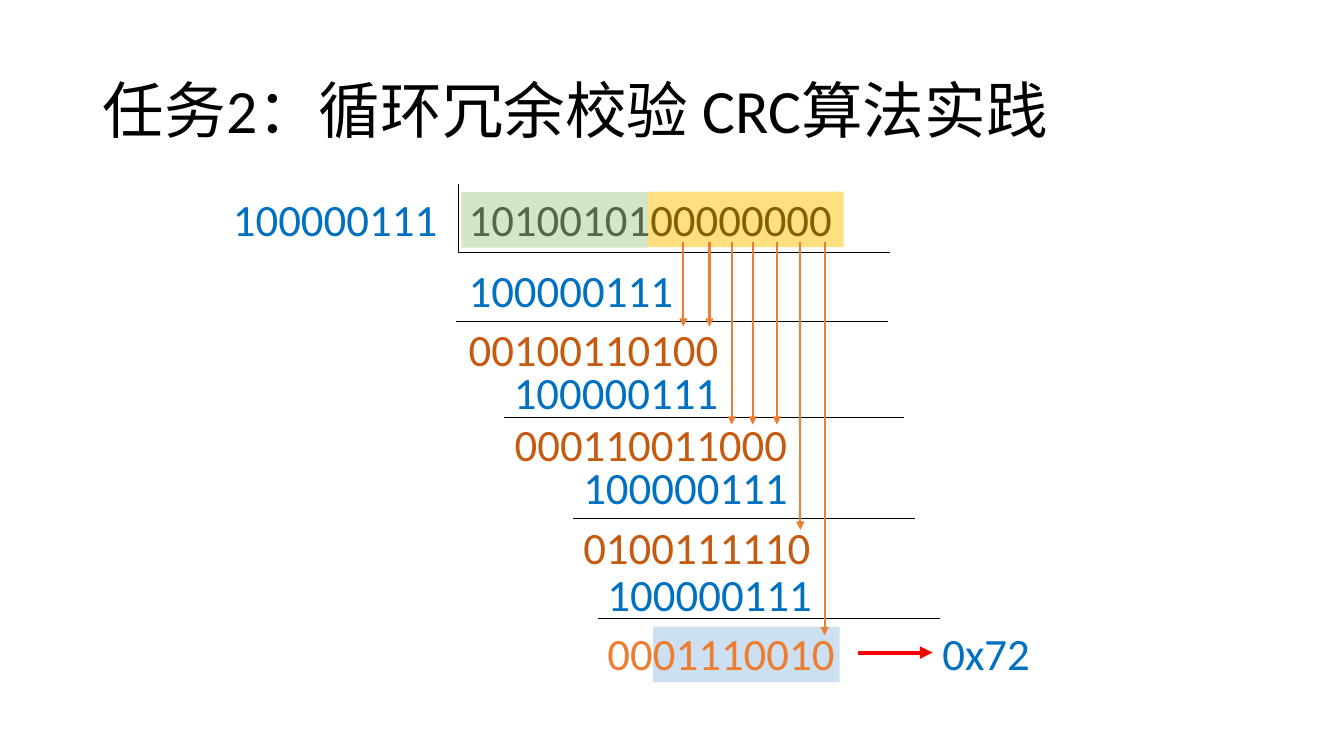
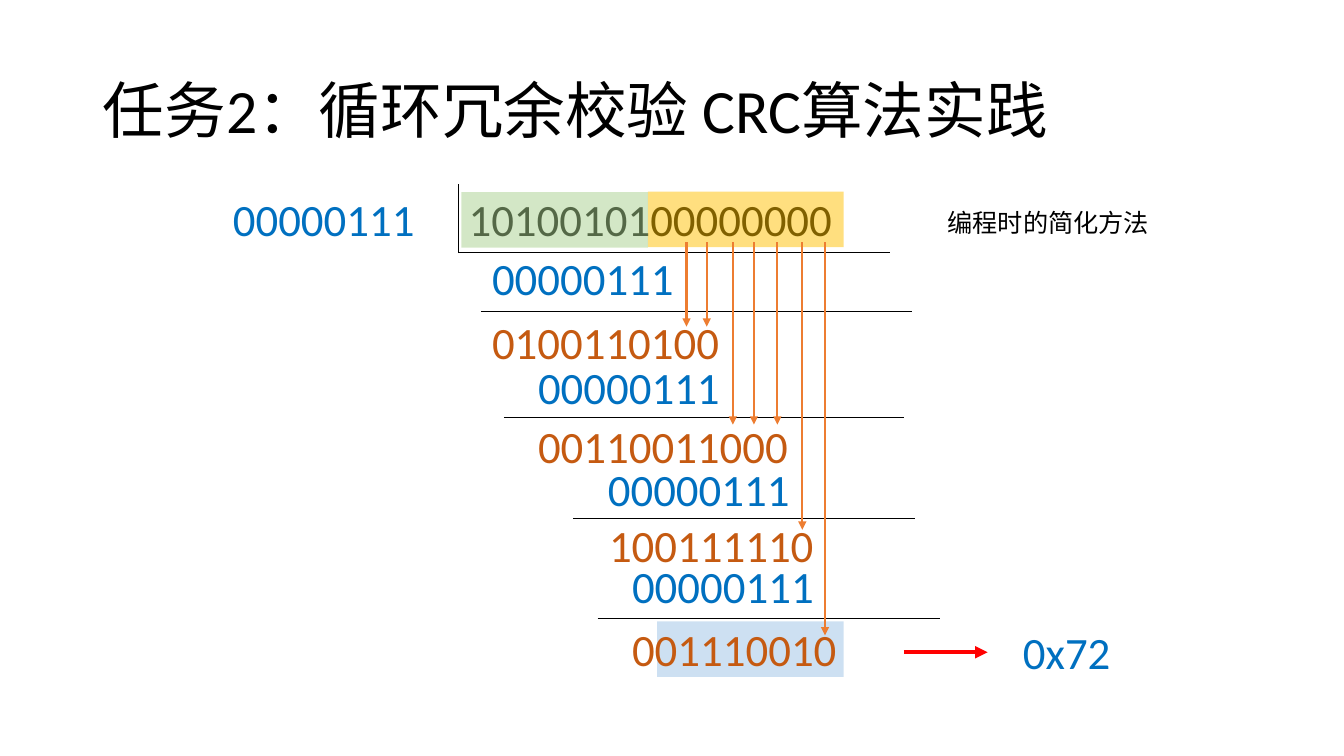
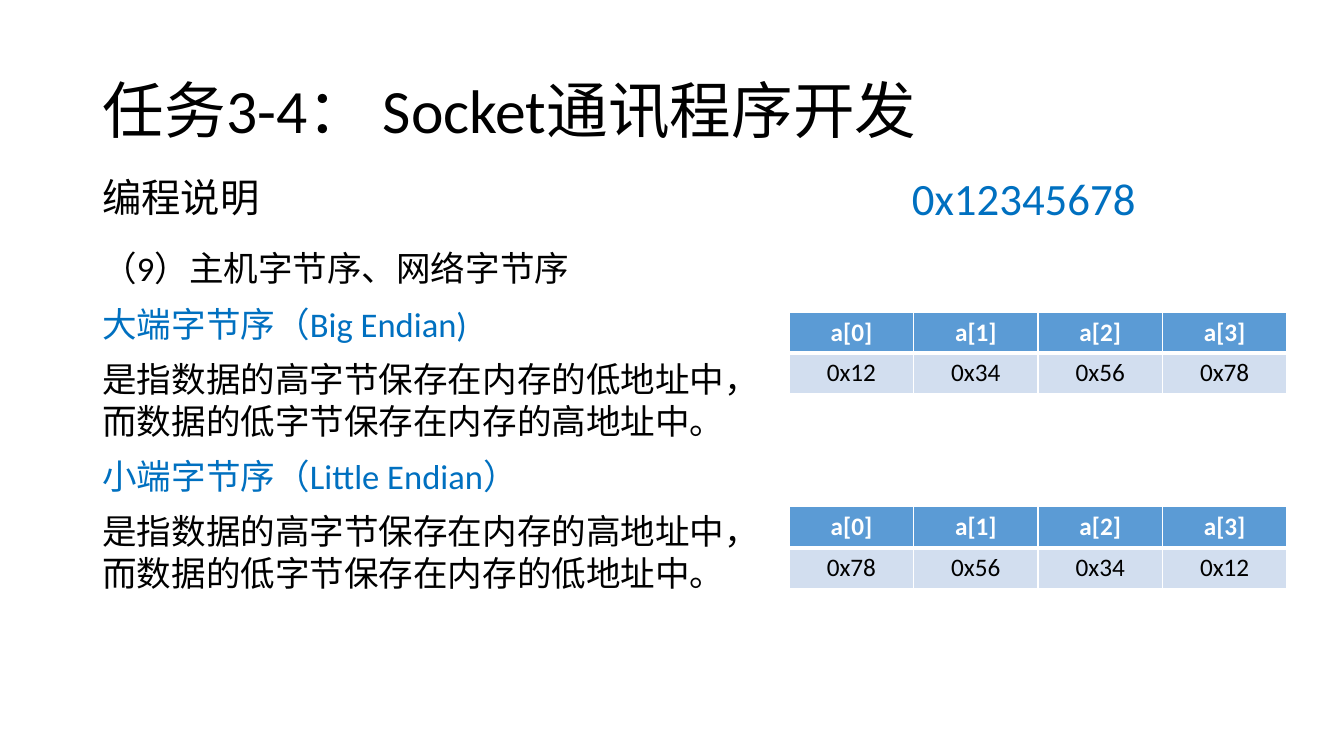
from lxml import etree
from pptx import Presentation
from pptx.dml.color import RGBColor
from pptx.enum.shapes import MSO_CONNECTOR, MSO_SHAPE
from pptx.enum.text import MSO_ANCHOR, MSO_AUTO_SIZE, PP_ALIGN
from pptx.oxml.ns import qn
from pptx.util import Cm, Pt

STRAIGHT = MSO_CONNECTOR.STRAIGHT
RECTANGLE = MSO_SHAPE.RECTANGLE
TOP, MIDDLE = MSO_ANCHOR.TOP, MSO_ANCHOR.MIDDLE
GROW, FIXED = MSO_AUTO_SIZE.SHAPE_TO_FIT_TEXT, MSO_AUTO_SIZE.NONE
CENTER = PP_ALIGN.CENTER

BLACK = RGBColor(0x00, 0x00, 0x00)
WHITE = RGBColor(0xFF, 0xFF, 0xFF)
BLUE = RGBColor(0x00, 0x70, 0xC0)
BROWN = RGBColor(0xC5, 0x5A, 0x11)
ORANGE = RGBColor(0xED, 0x7D, 0x31)
RED = RGBColor(0xFF, 0x00, 0x00)
GREEN = RGBColor(0xA9, 0xD1, 0x8E)
YELLOW = RGBColor(0xFF, 0xC0, 0x00)
LIGHT_BLUE = RGBColor(0x9D, 0xC3, 0xE6)
HEADER_BLUE = RGBColor(0x5B, 0x9B, 0xD5)
BAND_BLUE = RGBColor(0xD2, 0xDE, 0xEF)

FONT = "Calibri"
CRC_TITLE = "任务2：循环冗余校验 CRC算法实践"
DIVIDEND_LEFT = 11.56
DIGIT_HEIGHT = 1.63
MARK_HEIGHT = 1.4
# Box widths of the rows of the division, from top to bottom
ROW_WIDTHS = (8.33, 7.54, 8.33, 7.77, 6.58, 6.58, 7.24, 6.58)
# Left, top and length of the rules that both divisions share
SHARED_RULES = ((DIVIDEND_LEFT, 6.35, 10.87), (12.7, 10.52, 10.08),
                (14.45, 13.06, 8.62), (15.06, 15.59, 8.62))
# Ends of the arrows that bring digits down
DROP_TOP = 6.11
DROP_ENDS = (8.23, 8.23, 10.7, 10.7, 10.7, 13.35, 16.01)


def write(p, text, size=32, color=BLACK, bold=False, spacing=None, before=None, align=None):
    p.line_spacing = spacing
    p.space_before = None if before is None else Pt(before)
    p.alignment = align
    r = p.add_run()
    r.text = text
    r.font.name, r.font.size, r.font.bold = FONT, Pt(size), bold
    r.font.color.rgb = color


def add_frame(s, x, y, w, h, anchor=TOP, wrap=True, auto_size=GROW):
    sp = s.shapes.add_textbox(Cm(x), Cm(y), Cm(w), Cm(h))
    tf = sp.text_frame
    tf.word_wrap, tf.vertical_anchor, tf.auto_size = wrap, anchor, auto_size
    return sp


def add_text(s, text, x, y, w, h=DIGIT_HEIGHT, wrap=True, **fmt):
    sp = add_frame(s, x, y, w, h, wrap=wrap)
    write(sp.text_frame.paragraphs[0], text, **fmt)
    return sp


def add_title(s, text):
    sp = add_frame(s, 2.34, 1.01, 29.21, 3.68, anchor=MIDDLE, auto_size=FIXED)
    write(sp.text_frame.paragraphs[0], text, size=44, spacing=0.9)


def add_mark(s, x, y, w, color):
    """Half transparent highlight over or under digits."""
    sp = s.shapes.add_shape(RECTANGLE, Cm(x), Cm(y), Cm(w), Cm(MARK_HEIGHT))
    sp.shadow.inherit = False
    sp.fill.solid()
    sp.fill.fore_color.rgb = color
    sp.line.fill.background()
    rgb = sp._element.spPr.find(qn("a:solidFill")).find(qn("a:srgbClr"))
    etree.SubElement(rgb, qn("a:alpha"), val="50000")


def add_line(s, x1, y1, x2, y2, color=BLACK, width=0.5, arrow=False):
    line = s.shapes.add_connector(STRAIGHT, Cm(x1), Cm(y1), Cm(x2), Cm(y2))
    line.line.color.rgb = color
    line.line.width = Pt(width)
    if arrow:
        etree.SubElement(line.line._get_or_add_ln(), qn("a:tailEnd"), type="triangle")
    etree.SubElement(line._element.spPr, qn("a:effectLst"))
    return line


def add_division(s, divisor, rows, first_rule, remainder_at, drops):
    """Long division; each row is (left, top, digits, colour)."""
    add_mark(s, *remainder_at, 4.7, LIGHT_BLUE)
    add_title(s, CRC_TITLE)
    add_text(s, "1010010100000000", DIVIDEND_LEFT, 4.7, 10.74)
    add_text(s, divisor, 5.62, 4.7, 5.72, color=BLUE)
    add_line(s, DIVIDEND_LEFT, 6.38, DIVIDEND_LEFT, 4.64)
    for x, y, length in (*SHARED_RULES, first_rule):
        add_line(s, x, y, x + length, y)
    add_mark(s, 16.33, 4.83, 4.93, YELLOW)
    add_mark(s, 11.63, 4.84, 4.7, GREEN)
    for (x, y, digits, color), width in zip(rows, ROW_WIDTHS):
        add_text(s, digits, x, y, width, color=color)
    for x, end in zip(drops, DROP_ENDS):
        add_line(s, x, DROP_TOP, x, end, ORANGE, 1.5, arrow=True)


def add_result(s, x, y, arrow_from, arrow_to):
    result = add_text(s, "0x72", x, y, 5.72, color=BLUE)
    middle = y + DIGIT_HEIGHT / 2
    arrow = add_line(s, arrow_from, middle, arrow_to, middle, RED, 3, arrow=True)
    if arrow_to == x:
        arrow.end_connect(result, 1)


def set_borders(cell, **widths):
    tcPr = cell._tc.get_or_add_tcPr()
    for side, width in widths.items():
        ln = etree.SubElement(tcPr, qn(f"a:ln{side}"), w=str(Pt(width)))
        fill = etree.SubElement(ln, qn("a:solidFill"))
        etree.SubElement(fill, qn("a:srgbClr"), val=str(WHITE))


def add_byte_table(s, y, values):
    names = [f"a[{i}]" for i in range(len(values))]
    table = s.shapes.add_table(2, len(values), Cm(19.89), Cm(y), Cm(12.54), Cm(2.06)).table
    styles = ((names, HEADER_BLUE, WHITE, True, dict(L=1, R=1, T=1, B=3)),
              (values, BAND_BLUE, BLACK, False, dict(L=1, R=1, T=3, B=1)))
    for row, (texts, fill, color, bold, borders) in enumerate(styles):
        for column, text in enumerate(texts):
            cell = table.cell(row, column)
            set_borders(cell, **borders)
            cell.fill.solid()
            cell.fill.fore_color.rgb = fill
            cell.vertical_anchor = MIDDLE
            write(cell.text_frame.paragraphs[0], text, size=18, color=color,
                  bold=bold, align=CENTER)


def build_full_division(s):
    divisor = "100000111"
    rows = ((11.56, 6.49, divisor, BLUE), (11.56, 7.98, "00100110100", BROWN),
            (12.7, 9.07, divisor, BLUE), (12.72, 10.38, "000110011000", BROWN),
            (14.45, 11.45, divisor, BLUE), (14.45, 12.98, "0100111110", BROWN),
            (15.06, 14.16, divisor, BLUE), (15.06, 15.63, "0001110010", ORANGE))
    drops = (17.22, 17.88, 18.44, 18.97, 19.58, 20.17, 20.78)
    add_division(s, divisor, rows, (11.5, 8.11, 10.87), (16.46, 15.79), drops)
    add_result(s, 23.5, 15.63, 21.62, 23.5)


def build_short_division(s):
    divisor = "00000111"
    rows = ((12.15, 6.2, divisor, BLUE), (12.15, 7.8, "0100110100", BROWN),
            (13.31, 8.94, divisor, BLUE), (13.31, 10.42, "00110011000", BROWN),
            (15.07, 11.51, divisor, BLUE), (15.1, 12.93, "100111110", BROWN),
            (15.68, 13.95, divisor, BLUE), (15.68, 15.54, "001110010", BROWN))
    drops = (17.3, 17.81, 18.47, 19.0, 19.59, 20.22, 20.79)
    add_division(s, divisor, rows, (12.12, 7.85, 10.87), (16.56, 15.66), drops)
    add_result(s, 25.53, 15.62, 22.78, 24.89)
    add_text(s, "编程时的简化方法", 23.63, 4.96, 6.91, 2.03, size=18, spacing=1.2)


def build_byte_order(s):
    add_title(s, "任务3-4： Socket通讯程序开发")
    paragraphs = (
        ("编程说明", dict(size=28.1, spacing=1.3)),
        ("（9）主机字节序、网络字节序", dict(spacing=1.3)),
        ("大端字节序（Big Endian)", dict(color=BLUE)),
        ("是指数据的高字节保存在内存的低地址中，而数据的低字节保存在内存的高地址中。", {}),
        ("小端字节序（Little Endian）", dict(color=BLUE)),
        ("是指数据的高字节保存在内存的高地址中，而数据的低字节保存在内存的低地址中。", {}),
    )
    tf = add_frame(s, 2.33, 3.89, 16.3, 14.38, auto_size=FIXED).text_frame
    for i, (text, fmt) in enumerate(paragraphs):
        p = tf.add_paragraph() if i else tf.paragraphs[0]
        write(p, text, **{"size": 24.7, "before": 10, **fmt})
    add_text(s, "0x12345678", 22.73, 4.17, 6.22, wrap=False, color=BLUE)
    big_endian = ("0x12", "0x34", "0x56", "0x78")
    add_byte_table(s, 7.86, big_endian)
    add_byte_table(s, 12.77, big_endian[::-1])


def main():
    prs = Presentation()
    prs.slide_width, prs.slide_height = Cm(33.87), Cm(19.05)
    for build in (build_full_division, build_short_division, build_byte_order):
        build(prs.slides.add_slide(prs.slide_layouts[6]))
    prs.save("out.pptx")


if __name__ == "__main__":
    main()
